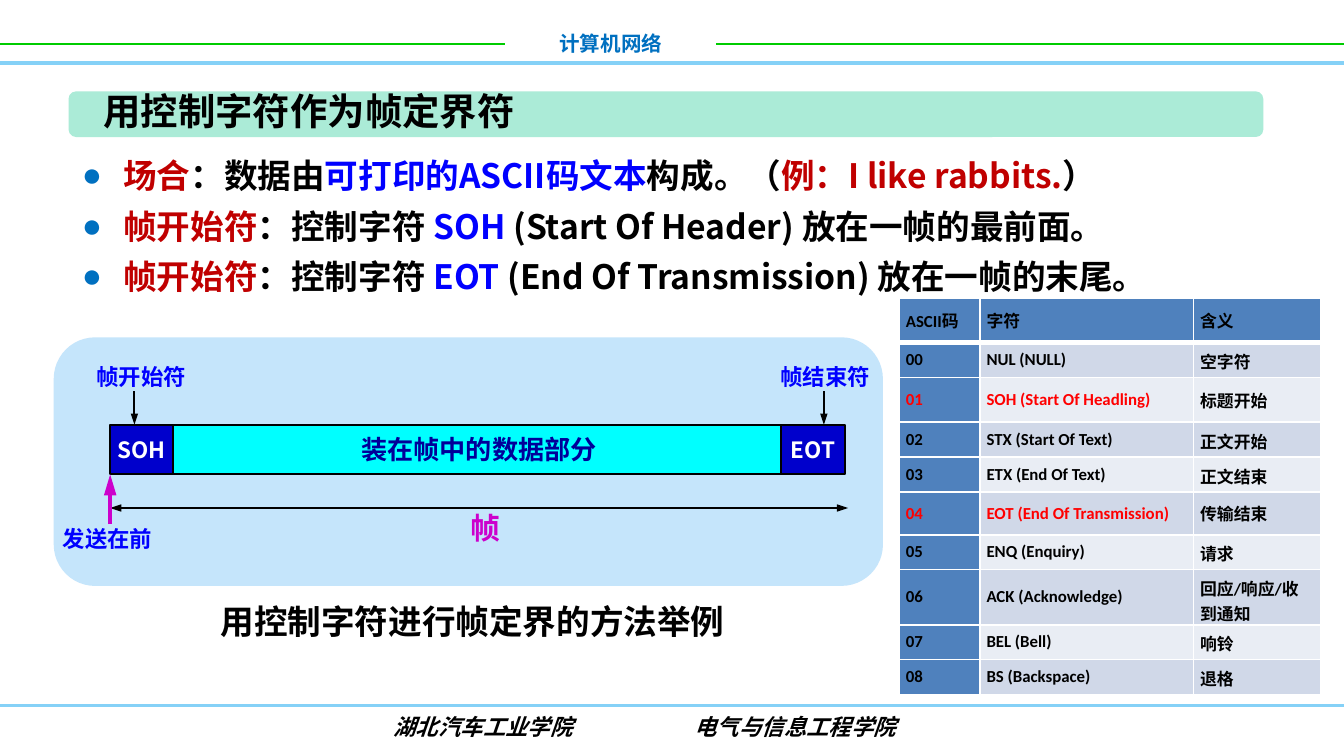
from dataclasses import dataclass

from lxml import etree
from pptx import Presentation
from pptx import util as u
from pptx.dml.color import RGBColor
from pptx.enum import shapes, text
from pptx.oxml import ns

BLACK = RGBColor(0x00, 0x00, 0x00)
WHITE = RGBColor(0xFF, 0xFF, 0xFF)
GREEN = RGBColor(0x00, 0xCC, 0x00)
SKY = RGBColor(0x85, 0xD1, 0xF7)
AZURE = RGBColor(0x00, 0x70, 0xC0)
PALE = RGBColor(0xC5, 0xE5, 0xFB)
MINT = RGBColor(0xAB, 0xEB, 0xD7)
CRIMSON = RGBColor(0xC0, 0x00, 0x00)
BLUE = RGBColor(0x00, 0x00, 0xFF)
NAVY = RGBColor(0x00, 0x00, 0x99)
ROYAL = RGBColor(0x00, 0x00, 0xCC)
CYAN = RGBColor(0x00, 0xFF, 0xFF)
PINK = RGBColor(0xCC, 0x00, 0xCC)
RED = RGBColor(0xFF, 0x00, 0x00)
STEEL = RGBColor(0x4F, 0x81, 0xBD)
BANDS = (RGBColor(0xE9, 0xED, 0xF4), RGBColor(0xD0, 0xD8, 0xE8))

NOTO = "Noto Sans CJK SC"
LEFT, MID = text.PP_ALIGN.LEFT, text.PP_ALIGN.CENTER
RECT = shapes.MSO_SHAPE.RECTANGLE
ROUND = shapes.MSO_SHAPE.ROUNDED_RECTANGLE


@dataclass
class Box:
    x: float
    y: float
    w: float
    h: float


@dataclass
class Label:
    box: Box
    words: str
    size: float
    color: RGBColor = BLACK
    align: text.PP_ALIGN = MID
    wrap: bool = False


@dataclass
class Line:
    start: tuple[float, float]
    end: tuple[float, float]
    color: RGBColor = BLACK
    width: float = 1
    ends: tuple[str, ...] = ()
    head: tuple[str, str] = ("sm", "med")


@dataclass
class Block:
    box: Box
    fill: RGBColor
    words: str
    size: float
    color: RGBColor = WHITE


def sub(node, tag: str, **attrs: str):
    return etree.SubElement(node, ns.qn(tag), attrs)


def add_run(para, words: str, size: float, color: RGBColor, face: str = NOTO):
    run = para.add_run()
    run.text = words
    font = run.font
    font.size, font.bold, font.name = u.Pt(size), True, face
    font.color.rgb = color
    sub(font._element, "a:ea", typeface=NOTO)
    return run


def add_box(slide, box: Box, wrap: bool = True):
    """Add an empty text box and return its frame."""
    frame = slide.shapes.add_textbox(*map(u.Inches, (box.x, box.y, box.w, box.h))).text_frame
    frame.word_wrap = wrap
    return frame


def add_label(slide, label: Label) -> None:
    para = add_box(slide, label.box, label.wrap).paragraphs[0]
    para.alignment = label.align
    add_run(para, label.words, label.size, label.color)


def add_line(slide, line: Line) -> None:
    points = map(u.Inches, (*line.start, *line.end))
    link = slide.shapes.add_connector(shapes.MSO_CONNECTOR.STRAIGHT, *points)
    link.line.color.rgb = line.color
    link.line.width = u.Pt(line.width)
    wide, long = line.head
    for end in line.ends:
        sub(link.line._get_or_add_ln(), end, type="triangle", w=wide, len=long)
    sub(link._element.spPr, "a:effectLst")


def add_shape(slide, kind, box: Box, fill: RGBColor):
    shape = slide.shapes.add_shape(kind, *map(u.Inches, (box.x, box.y, box.w, box.h)))
    shape.shadow.inherit = False
    shape.fill.solid()
    shape.fill.fore_color.rgb = fill
    shape.line.fill.background()
    return shape


def add_block(slide, block: Block) -> None:
    shape = add_shape(slide, RECT, block.box, block.fill)
    shape.line.color.rgb = BLACK
    shape.line.width = u.Pt(1)
    frame = shape.text_frame
    frame.word_wrap = False
    frame.vertical_anchor = text.MSO_ANCHOR.MIDDLE
    para = frame.paragraphs[0]
    para.alignment = MID
    add_run(para, block.words, block.size, block.color)


def add_bullets(slide, box: Box, items) -> None:
    frame = add_box(slide, box)
    for i, item in enumerate(items):
        para = frame.add_paragraph() if i else frame.paragraphs[0]
        para.line_spacing = u.Pt(27)
        props = para._p.get_or_add_pPr()
        props.set("marL", str(u.Inches(0.31)))
        props.set("indent", str(-u.Inches(0.31)))
        sub(sub(props, "a:buClr"), "a:srgbClr", val=str(AZURE))
        sub(props, "a:buFont", typeface="Arial")
        sub(props, "a:buChar", char="●")
        for words, color in item:
            add_run(para, words, 18, color)


def add_footer(slide) -> None:
    para = add_box(slide, Box(2.83, 5.26, 4.3, 0.3)).paragraphs[0]
    tabs = sub(para._p.get_or_add_pPr(), "a:tabLst")
    sub(tabs, "a:tab", pos=str(u.Inches(2.24)), algn="l")
    run = add_run(para, "湖北汽车工业学院\t电气与信息工程学院", 12, BLACK, "Arial")
    run.font.italic = True


def set_borders(cell, row: int) -> None:
    """Draw white cell borders, thicker below the header row."""
    thick = {(0, "B"), (1, "T")}
    for side in "LRTB":
        width = u.Pt(3 if (row, side) in thick else 1)
        edge = sub(cell._tc.get_or_add_tcPr(), f"a:ln{side}", w=str(width))
        sub(sub(edge, "a:solidFill"), "a:srgbClr", val=str(WHITE))


def add_codes(slide, box: Box, widths, rows) -> None:
    """Add the code table; each row is (height, three texts)."""
    area = map(u.Inches, (box.x, box.y, box.w, box.h))
    table = slide.shapes.add_table(len(rows), len(widths), *area).table
    for col, width in zip(table.columns, widths):
        col.width = u.Inches(width)
    for r, (height, *words) in enumerate(rows):
        table.rows[r].height = u.Inches(height)
        for c, word in enumerate(words):
            cell = table.cell(r, c)
            set_borders(cell, r)
            cell.fill.solid()
            cell.fill.fore_color.rgb = STEEL if r == 0 or c == 0 else BANDS[r % 2]
            cell.margin_left = cell.margin_right = u.Inches(0.05)
            cell.margin_top = cell.margin_bottom = u.Inches(0.05)
            cell.vertical_anchor = text.MSO_ANCHOR.MIDDLE
            hot = words[0] in ("01", "04") and c < 2
            para = cell.text_frame.paragraphs[0]
            add_run(para, word, 9, RED if hot else BLACK, "Calibri")


RULES = [
    Line((0, 0.33), (3.76, 0.33), GREEN),
    Line((5.33, 0.33), (10, 0.33), GREEN),
    Line((0, 0.47), (10, 0.47), SKY, 2),
    Line((0, 5.25), (10, 5.25), SKY, 1.5),
]
BULLETS = [
    [("场合", CRIMSON), ("：数据由", BLACK), ("可打印的ASCII码文本", BLUE),
     ("构成。（", BLACK), ("例：I like rabbits.", CRIMSON), ("）", BLACK)],
    [("帧开始符", CRIMSON), ("：控制字符 ", BLACK), ("SOH ", BLUE),
     ("(Start Of Header) 放在一帧的最前面。", BLACK)],
    [("帧开始符", CRIMSON), ("：控制字符 ", BLACK), ("EOT", BLUE),
     (" (End Of Transmission) 放在一帧的末尾。", BLACK)],
]
BLOCKS = [
    Block(Box(1.18, 3.16, 4.77, 0.37), CYAN, "装在帧中的数据部分", 14, NAVY),
    Block(Box(0.82, 3.16, 0.47, 0.37), ROYAL, "SOH", 12),
    Block(Box(5.81, 3.16, 0.48, 0.37), ROYAL, "EOT", 12),
]
ARROWS = [
    Line((0.82, 3.78), (6.31, 3.78), ends=("a:headEnd", "a:tailEnd")),
    Line((1, 2.91), (1, 3.16), ends=("a:tailEnd",)),
    Line((6.13, 2.91), (6.13, 3.16), ends=("a:tailEnd",)),
    Line((0.82, 3.9), (0.82, 3.53), PINK, 2.25, ("a:tailEnd",), ("med", "lg")),
]
LABELS = [
    Label(Box(3.76, 0.18, 1.57, 0.29), "计算机网络", 11, AZURE, wrap=True),
    Label(Box(0.67, 0.61, 3.29, 0.44), "用控制字符作为帧定界符", 20, align=LEFT),
    Label(Box(3.4, 3.74, 0.43, 0.37), "帧", 16, PINK),
    Label(Box(0.61, 2.65, 0.88, 0.3), "帧开始符", 12, BLUE),
    Label(Box(5.7, 2.65, 0.88, 0.3), "帧结束符", 12, BLUE),
    Label(Box(0.36, 3.86, 0.88, 0.3), "发送在前", 12, BLUE),
    Label(Box(1.54, 4.42, 3.95, 0.4), "用控制字符进行帧定界的方法举例", 18, wrap=True),
]
CODES = [
    (0.33, "ASCII码", "字符", "含义"),
    (0.26, "00", "NUL (NULL)", "空字符"),
    (0.33, "01", "SOH (Start Of Headling)", "标题开始"),
    (0.26, "02", "STX (Start Of Text)", "正文开始"),
    (0.26, "03", "ETX (End Of Text)", "正文结束"),
    (0.32, "04", "EOT (End Of Transmission)", "传输结束"),
    (0.26, "05", "ENQ (Enquiry)", "请求"),
    (0.41, "06", "ACK (Acknowledge)", "回应/响应/收到通知"),
    (0.26, "07", "BEL (Bell)", "响铃"),
    (0.26, "08", "BS (Backspace)", "退格"),
]


def main() -> None:
    deck = Presentation()
    deck.slide_width = u.Inches(10)
    deck.slide_height = u.Inches(10 * 9 / 16)
    slide = deck.slides.add_slide(deck.slide_layouts[6])
    for rule in RULES:
        add_line(slide, rule)
    add_footer(slide)
    add_shape(slide, ROUND, Box(0.4, 2.51, 6.17, 1.85), PALE)
    add_shape(slide, ROUND, Box(0.51, 0.68, 8.89, 0.34), MINT)
    add_bullets(slide, Box(0.51, 1.03, 8.89, 1.24), BULLETS)
    for block in BLOCKS:
        add_block(slide, block)
    for arrow in ARROWS:
        add_line(slide, arrow)
    for label in LABELS:
        add_label(slide, label)
    add_codes(slide, Box(6.69, 2.22, 3.14, 2.95), (0.6, 1.59, 0.95), CODES)
    deck.save("out.pptx")


if __name__ == "__main__":
    main()
